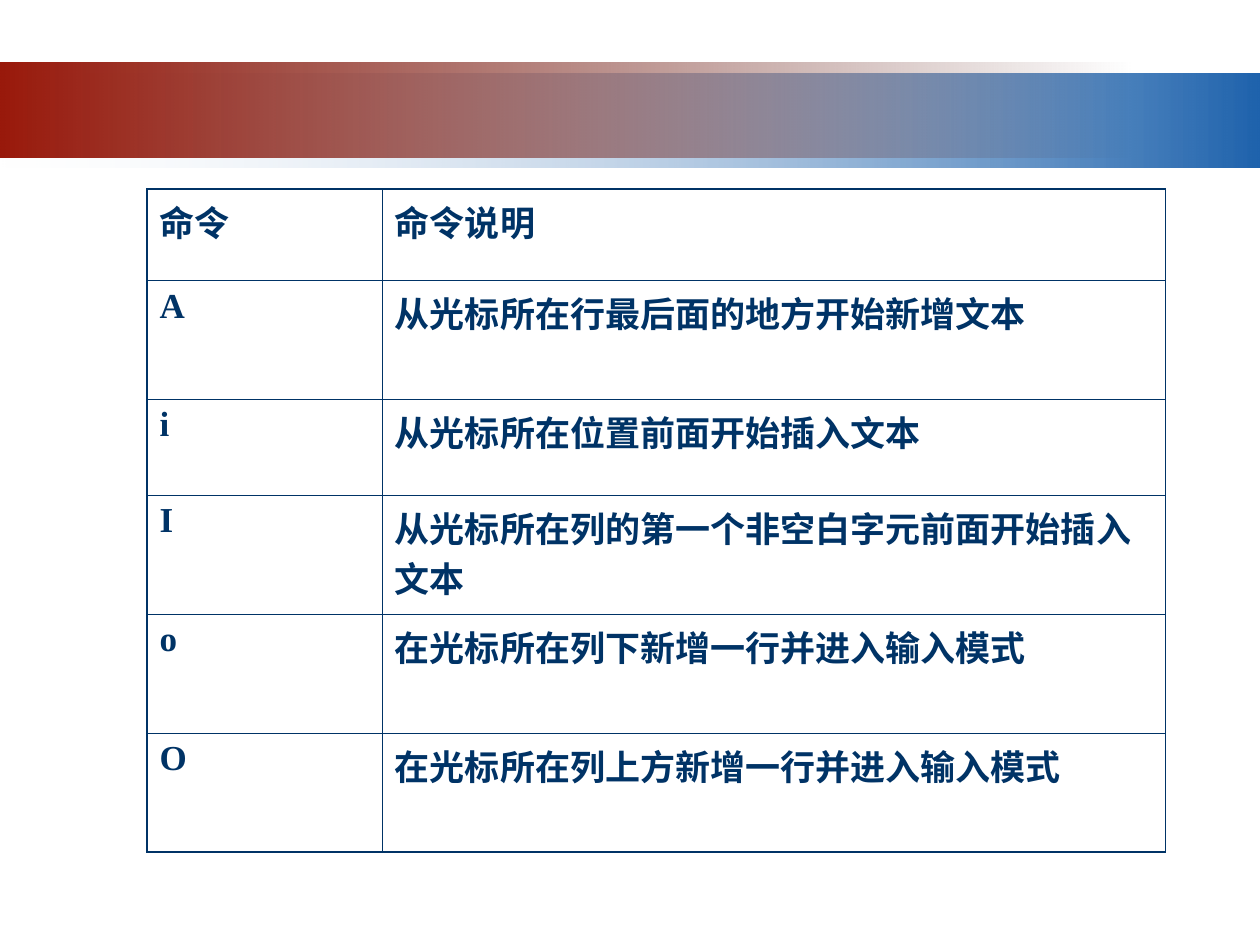
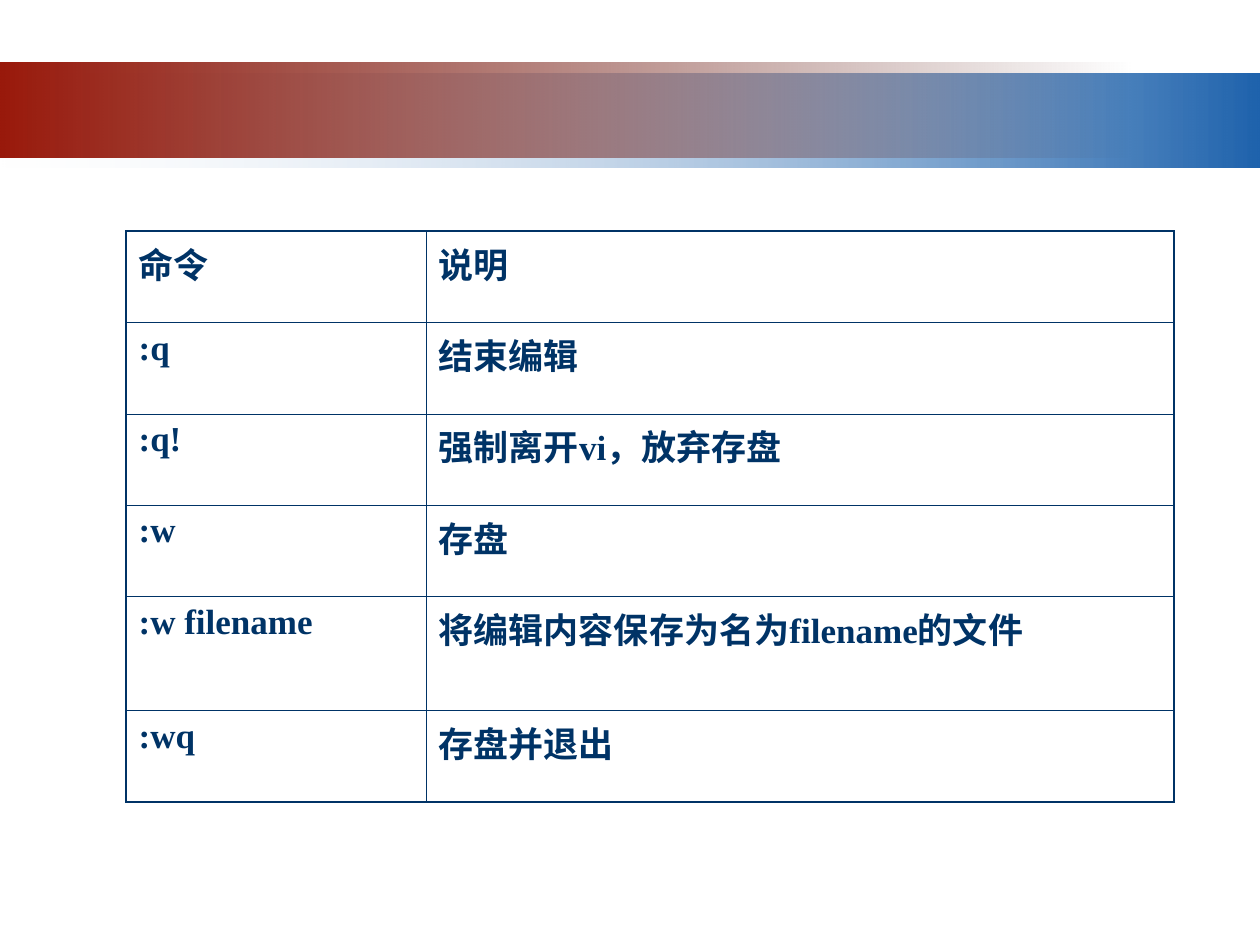
from lxml import etree
from pptx import Presentation
from pptx.dml.color import RGBColor
from pptx.enum.lang import MSO_LANGUAGE_ID
from pptx.enum.shapes import MSO_SHAPE
from pptx.oxml.ns import qn
from pptx.util import Pt

RECT = MSO_SHAPE.RECTANGLE
CHINESE = MSO_LANGUAGE_ID.SIMPLIFIED_CHINESE

COLORS = {
    "ink": "003366",
    "blue": "1F63AD",
    "pale": "E2EAF3",
    "dark_red": "460B05",
    "red": "99190B",
}
CELL_FONT = {"name": "Times New Roman", "size": Pt(20), "bold": True, "language_id": CHINESE}
OUTER, INNER = Pt(1.08), Pt(0.45)

BANDS = [
    ((0, 42, 720, 54), ("blue", "pale"), "pale"),
    ((0, 36, 648, 54), ("dark_red", "red"), "dark_red"),
]

INSERT_COMMANDS = [
    ("命令", "命令说明"),
    ("A", "从光标所在行最后面的地方开始新增文本"),
    ("i", "从光标所在位置前面开始插入文本"),
    ("I", "从光标所在列的第一个非空白字元前面开始插入文本"),
    ("o", "在光标所在列下新增一行并进入输入模式"),
    ("O", "在光标所在列上方新增一行并进入输入模式"),
]
EXIT_COMMANDS = [
    ("命令", "说明"),
    (":q", "结束编辑"),
    (":q!", "强制离开vi，放弃存盘"),
    (":w", "存盘"),
    (":w filename", "将编辑内容保存为名为filename的文件"),
    (":wq", "存盘并退出"),
]


def add_band(slide, box, stops, clear):
    sp = slide.shapes.add_shape(RECT, *map(Pt, box))
    sp.shadow.inherit = False
    sp.line.fill.background()
    sp.fill.gradient()
    sp.fill.gradient_angle = 180
    for stop, name in zip(sp.fill.gradient_stops, stops):
        stop.color.rgb = RGBColor.from_string(COLORS[name])
    for clr in sp._element.iter(qn("a:srgbClr")):
        if clr.get("val") == COLORS[clear]:
            etree.SubElement(clr, qn("a:alpha"), val="0")


def add_border(cell, side, width):
    ln = etree.SubElement(cell._tc.get_or_add_tcPr(), qn(f"a:ln{side}"), w=str(int(width)))
    fill = etree.SubElement(ln, qn("a:solidFill"))
    etree.SubElement(fill, qn("a:srgbClr"), val=COLORS["ink"])


def format_cell(cell, text, edges):
    for side, is_outer in edges.items():
        add_border(cell, side, OUTER if is_outer else INNER)
    cell.fill.background()
    r = cell.text_frame.paragraphs[0].add_run()
    r.text = text
    for key, value in CELL_FONT.items():
        setattr(r.font, key, value)
    r.font.color.rgb = RGBColor.from_string(COLORS["ink"])


def add_command_table(slide, left, top, widths, heights, commands):
    box = map(Pt, (left, top, sum(widths), sum(heights)))
    table = slide.shapes.add_table(len(heights), len(widths), *box).table
    table.first_row = table.horz_banding = False
    for col, width in zip(table.columns, widths):
        col.width = Pt(width)
    for row, height in zip(table.rows, heights):
        row.height = Pt(height)
    last_row, last_col = len(heights) - 1, len(widths) - 1
    for i, texts in enumerate(commands):
        for j, text in enumerate(texts):
            edges = {"L": j == 0, "R": j == last_col, "T": i == 0, "B": i == last_row}
            format_cell(table.cell(i, j), text, edges)


def add_command_slide(prs, *table):
    slide = prs.slides.add_slide(prs.slide_layouts[6])
    for band in BANDS:
        add_band(slide, *band)
    add_command_table(slide, *table)


def main():
    prs = Presentation()
    prs.slide_width, prs.slide_height = Pt(720), Pt(540)
    add_command_slide(prs, 84, 108, (134.5, 447.5),
                      (52.25, 68, 54.75, 68, 68, 68), INSERT_COMMANDS)
    add_command_slide(prs, 72, 132, (171.5, 427.5),
                      (52.25, 52.25, 52.25, 52.25, 65, 52.25), EXIT_COMMANDS)
    prs.save("out.pptx")


if __name__ == "__main__":
    main()
